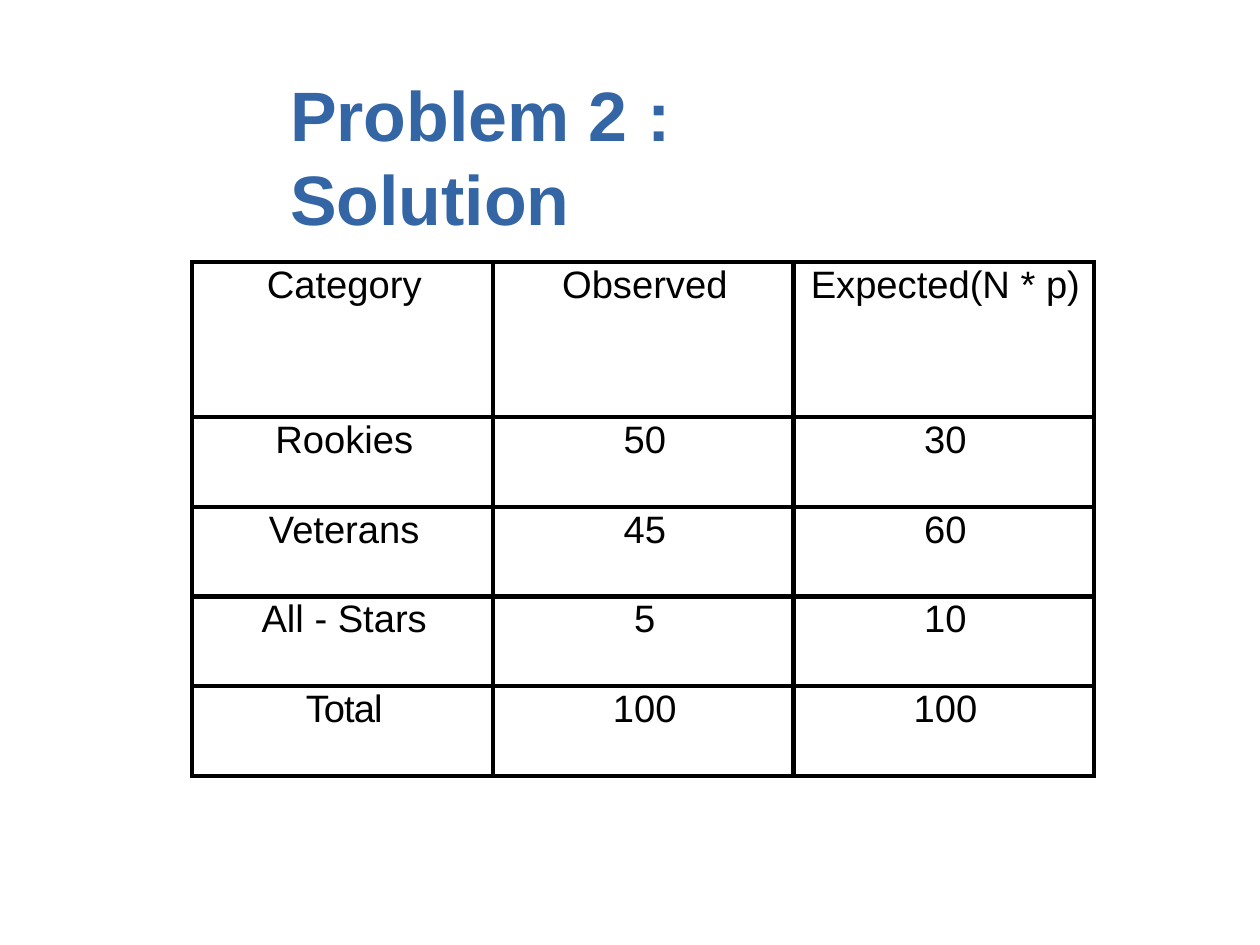
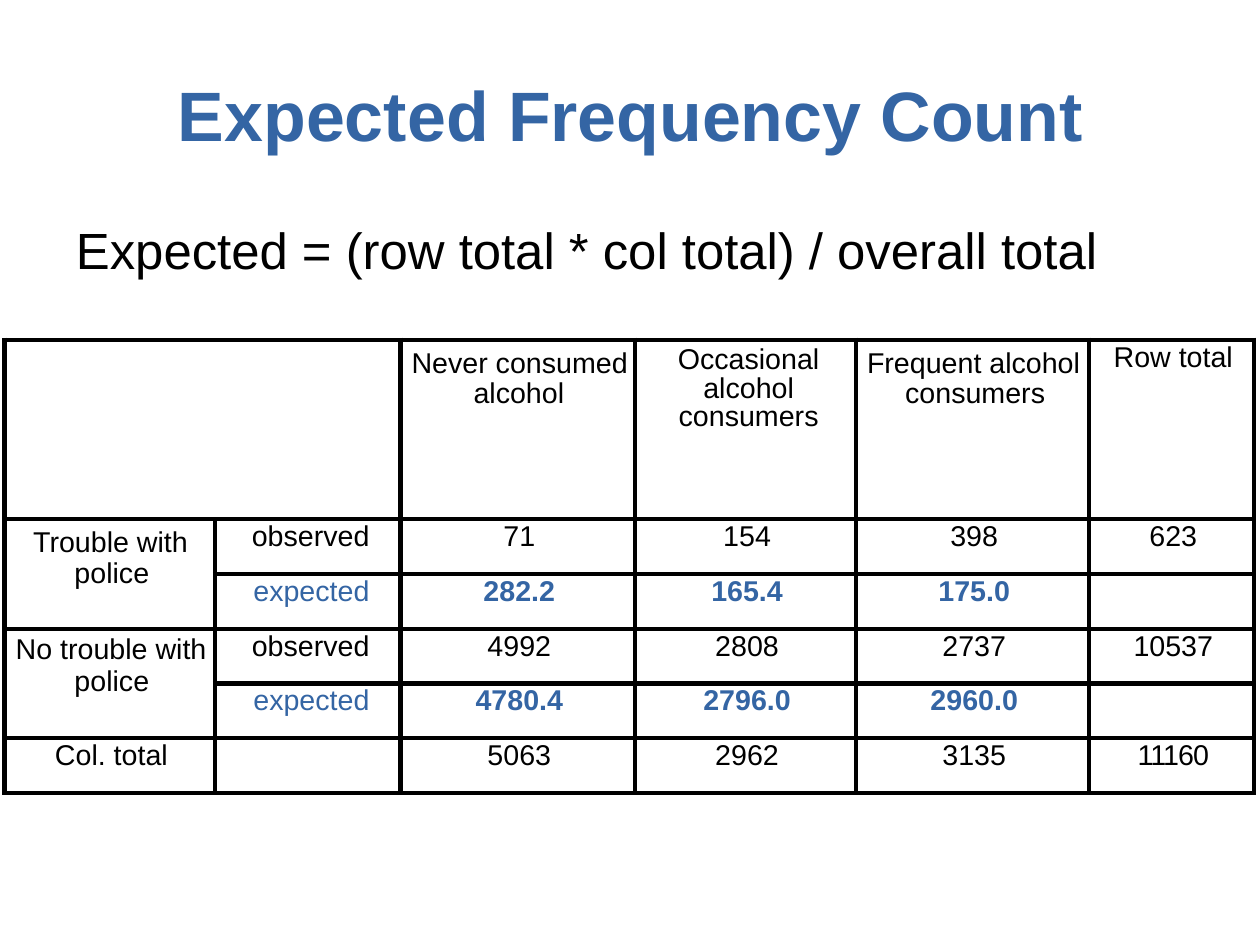
from dataclasses import dataclass

from pptx import Presentation, util as u
from pptx.dml.color import RGBColor
from pptx.enum import text
from pptx.oxml import parse_xml
from pptx.oxml.ns import nsdecls

ALIGN = text.PP_ALIGN


@dataclass(frozen=True)
class Theme:
    font: str = "Arial"
    ink: RGBColor = RGBColor(0, 0, 0)
    accent: RGBColor = RGBColor(0x34, 0x65, 0xA4)
    title_size: float = 44
    formula_size: float = 32
    large_table: float = 24
    small_table: float = 18
    border: float = 3


class Deck:
    """Holds the style and the current slide; lengths are percent of the slide."""

    def __init__(self, theme, width, height):
        self.theme = theme
        self.prs = Presentation()
        self.prs.slide_width, self.prs.slide_height = u.Inches(width), u.Inches(height)
        self.slide = None

    def x(self, share):
        return round(self.prs.slide_width * share / 100)

    def y(self, share):
        return round(self.prs.slide_height * share / 100)

    @staticmethod
    def apply(target, **values):
        for name, value in values.items():
            setattr(target, name, value)

    def add_words(self, paragraph, words, size, color, bold=False):
        run = paragraph.add_run()
        run.text = words
        self.apply(run.font, name=self.theme.font, size=u.Pt(size), bold=bold)
        run.font.color.rgb = color
        return run

    def frame(self, shape, left, top, width, height):
        """Place a shape and give its text a flush top-left frame."""
        self.apply(shape, left=self.x(left), top=self.y(top),
                   width=self.x(width), height=self.y(height))
        self.apply(shape.text_frame, margin_left=u.Pt(1), margin_right=0,
                   margin_top=u.Pt(2), margin_bottom=0, word_wrap=True,
                   auto_size=text.MSO_AUTO_SIZE.NONE,
                   vertical_anchor=text.MSO_ANCHOR.TOP)
        paragraph = shape.text_frame.paragraphs[0]
        paragraph.alignment = ALIGN.LEFT
        return paragraph

    def title_slide(self, lines, left, width):
        self.slide = self.prs.slides.add_slide(self.prs.slide_layouts[5])
        paragraph = self.frame(self.slide.shapes.title, left, 7.26, width, 9.2)
        for number, line in enumerate(lines):
            if number:
                paragraph.add_line_break()
            self.add_words(paragraph, line, self.theme.title_size, self.theme.accent, True)

    def formula(self, words, left, top, width, height):
        box = self.slide.shapes.add_textbox(0, 0, 0, 0)
        paragraph = self.frame(box, left, top, width, height)
        self.add_words(paragraph, words, self.theme.formula_size, self.theme.ink)

    def borders(self, cell):
        properties = cell._tc.get_or_add_tcPr()
        for place, side in enumerate(("lnL", "lnR", "lnT", "lnB")):
            properties.insert(place, parse_xml(
                f'<a:{side} {nsdecls("a")} w="{u.Pt(self.theme.border)}">'
                f'<a:solidFill><a:srgbClr val="{self.theme.ink}"/></a:solidFill></a:{side}>'))

    def cell(self, cell, words, size, line, align=ALIGN.CENTER, left=2, right=0,
             top=0, hang=None, color=None, bold=False, tracking=0):
        """Format one table cell; insets and hanging indent are in points."""
        self.apply(cell, margin_left=u.Pt(left), margin_right=u.Pt(right),
                   margin_top=u.Pt(top), margin_bottom=0,
                   vertical_anchor=text.MSO_ANCHOR.TOP)
        cell.fill.background()
        self.borders(cell)
        if not words:
            return
        paragraph = cell.text_frame.paragraphs[0]
        self.apply(paragraph, alignment=align,
                   line_spacing=line if line < 2 else u.Pt(line))
        if hang:
            margin, indent = hang
            properties = paragraph._p.get_or_add_pPr()
            properties.set("marL", str(u.Pt(margin)))
            properties.set("indent", str(u.Pt(indent)))
        run = self.add_words(paragraph, words, size, color or self.theme.ink, bold)
        if tracking:
            run._r.get_or_add_rPr().set("spc", str(tracking))

    def table(self, rows, left, top, widths, heights, size, line, formats, merges=()):
        table = self.slide.shapes.add_table(
            len(rows), len(widths), self.x(left), self.y(top),
            self.x(sum(widths)), self.y(sum(heights))).table
        self.apply(table, first_row=False, horz_banding=False)
        for column, width in zip(table.columns, widths):
            column.width = self.x(width)
        for row, height in zip(table.rows, heights):
            row.height = self.y(height)
        for r, row in enumerate(rows):
            for c, words in enumerate(row):
                self.cell(table.cell(r, c), words,
                          **{"size": size, "line": line, **formats.get((r, c), {})})
        for first, last in merges:
            table.cell(*first).merge(table.cell(*last))


def hanging(margin, indent, top, line=19):
    return dict(align=ALIGN.LEFT, left=0, hang=(margin, indent), top=top, line=line)


def main():
    theme = Theme()
    deck = Deck(theme, 11.01, 8.26)

    # Goodness of fit: observed and expected counts
    deck.title_slide(["Problem 2 :", "Solution"], 22.9, 54.3)
    players = [
        ("Category", "Observed", "Expected(N * p)"),
        ("Rookies", "50", "30"),
        ("Veterans", "45", "60"),
        ("All - Stars", "5", "10"),
        ("Total", "100", "100"),
    ]
    deck.table(players, 15.26, 27.72, [23.86] * 3, [16.4] + [9.5] * 4,
               theme.large_table, 28, {(4, 0): dict(tracking=-60)})

    # Independence: contingency table with expected counts
    deck.title_slide(["Expected Frequency Count"], 14, 73)
    deck.formula("Expected = (row total * col total) / overall total", 5.9, 22.76, 83, 6.8)
    drinkers = [
        ("", "", "Never consumed alcohol", "Occasional alcohol consumers",
         "Frequent alcohol consumers", "Row total"),
        ("Trouble with police", "observed", "71", "154", "398", "623"),
        ("", "expected", "282.2", "165.4", "175.0", ""),
        ("No trouble with police", "observed", "4992", "2808", "2737", "10537"),
        ("", "expected", "4780.4", "2796.0", "2960.0", ""),
        ("Col. total", "", "5063", "2962", "3135", "11160"),
    ]
    formats = {
        (0, 2): hanging(46, -39, 6),
        (0, 3): dict(left=26, right=22, top=4, line=0.9),
        (0, 4): hanging(31, -24, 6),
        (1, 0): hanging(44, -26, 6),
        (3, 0): hanging(44, -37, 3, 20),
        (5, 5): dict(tracking=-60),
    }
    for r in range(1, 5):
        is_expected = r % 2 == 0
        color = theme.accent if is_expected else theme.ink
        formats[r, 1] = dict(align=ALIGN.RIGHT, right=19.5, color=color)
        for c in range(2, 5):
            formats[r, c] = dict(color=color, bold=is_expected)
    deck.table(drinkers, 0.36, 35.96, [16.71, 14.71, 18.62, 17.53, 18.53, 13.08],
               [19] + [5.79] * 5, theme.small_table, 21, formats,
               merges=[((0, 0), (0, 1)), ((1, 0), (2, 0)), ((3, 0), (4, 0))])

    deck.prs.save("out.pptx")


if __name__ == "__main__":
    main()
